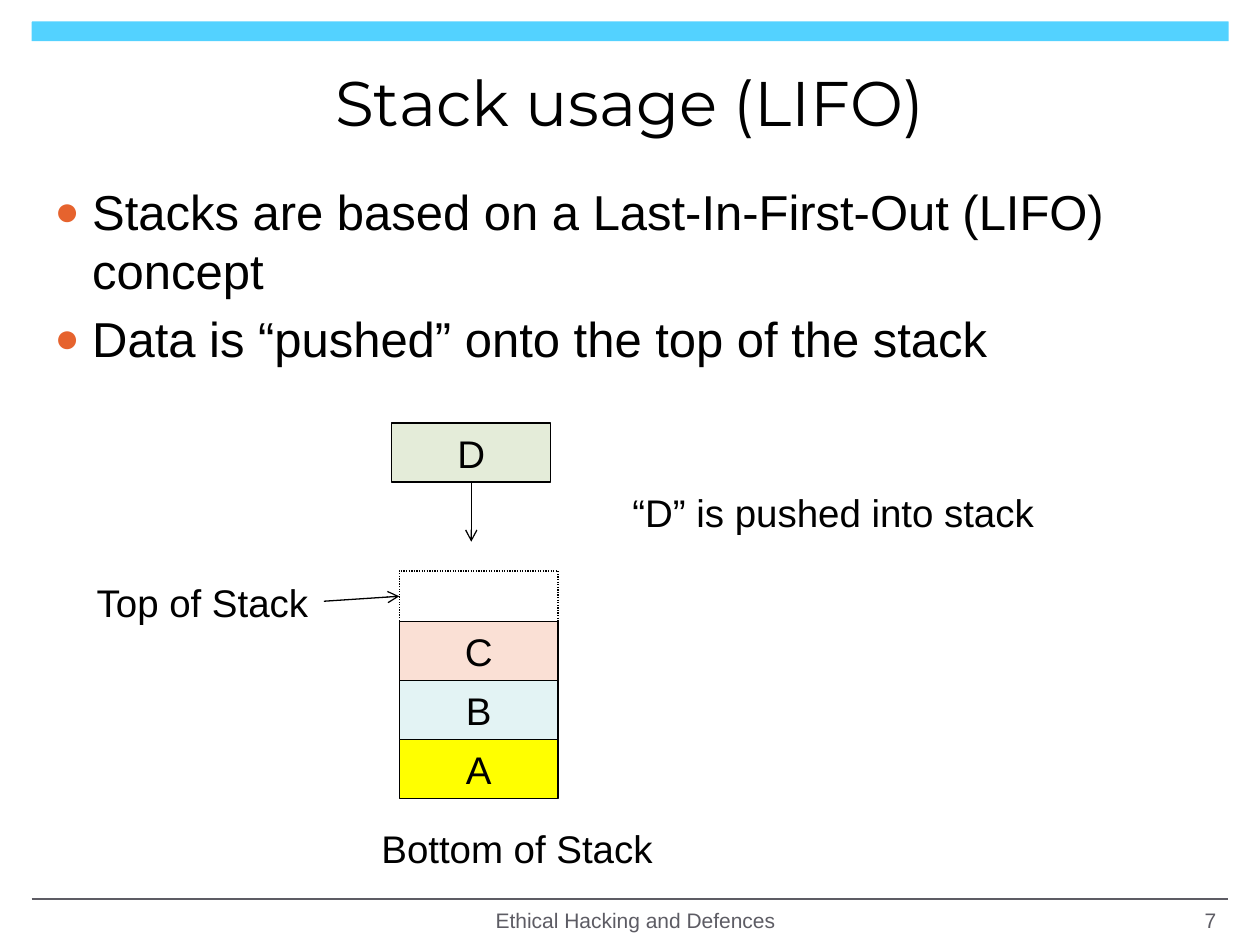
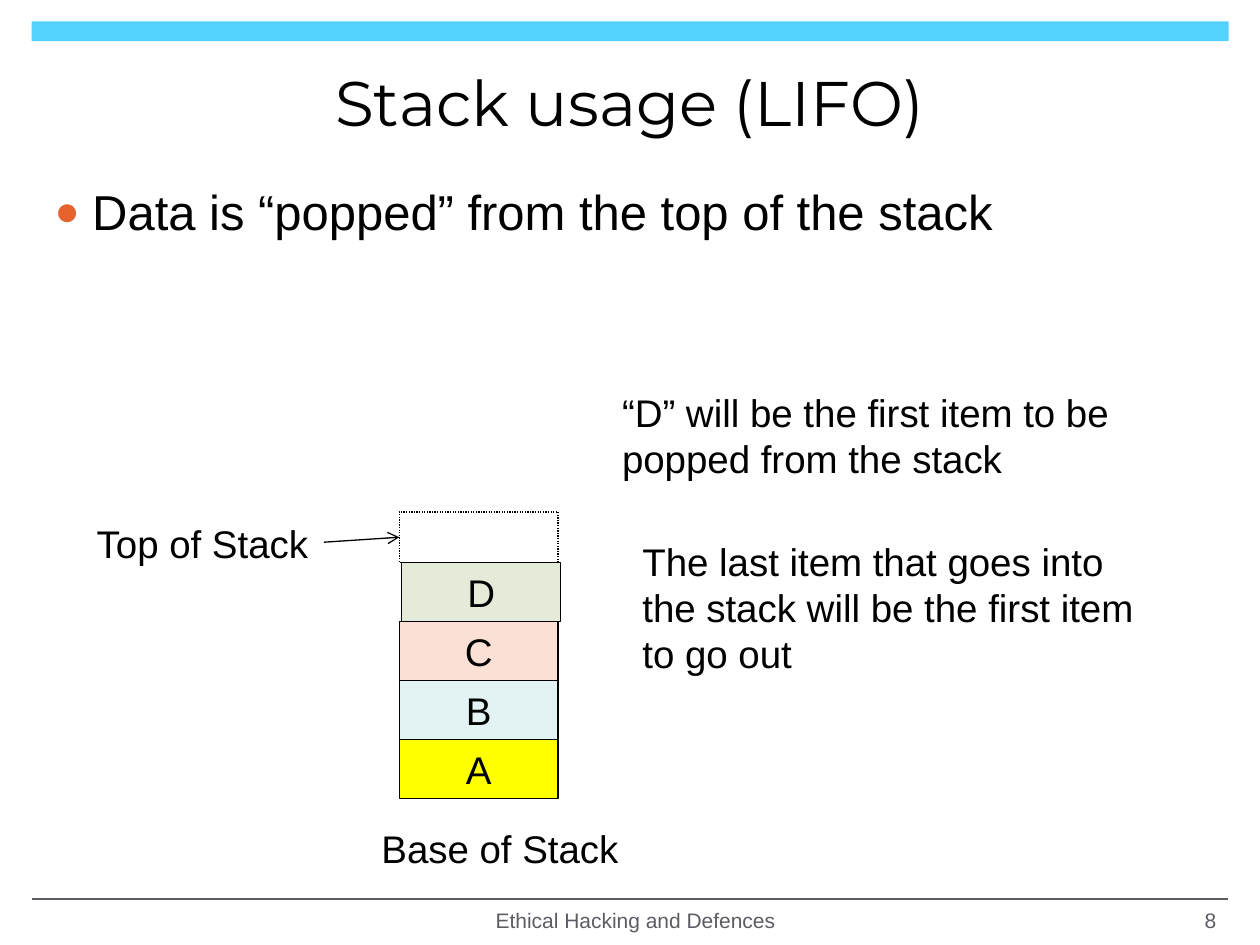
import dataclasses
import typing

import lxml.etree
import pptx
import pptx.dml.color
import pptx.enum.dml
import pptx.enum.shapes
import pptx.enum.text
import pptx.oxml.ns
import pptx.util

Cm = pptx.util.Cm
Pt = pptx.util.Pt
Align = pptx.enum.text.PP_ALIGN
Anchor = pptx.enum.text.MSO_ANCHOR
Kind = pptx.enum.shapes.MSO_SHAPE


@dataclasses.dataclass(frozen=True)
class Theme:
    band: str = "53D2FF"
    ink: str = "000000"
    muted: str = "5D5C64"
    bullet: str = "E6632E"
    heading: str = "Montserrat"
    sans: str = "Arial"
    title: float = 36
    body: float = 28
    label: float = 22
    foot: float = 12
    thin: float = 0.75
    rule: float = 1


THEME = Theme()
FILLS = {"A": "FFFF00", "B": "E3F3F4", "C": "FAE0D5", "D": "E4ECD9"}
LEFT, BASE, WIDTH, STEP, SLOT = 8.05, 16.1, 3.2, 1.19, 1.02


class Box(typing.NamedTuple):
    x: float
    y: float
    w: float
    h: float

    def sizes(self) -> tuple:
        return tuple(Cm(v) for v in self)


class Style(typing.NamedTuple):
    size: float = THEME.label
    color: str = THEME.ink
    font: str = THEME.sans
    align: Align = Align.LEFT
    anchor: Anchor = Anchor.TOP


class Cell(typing.NamedTuple):
    name: str
    x: float
    y: float


class Note(typing.NamedTuple):
    text: str
    box: Box
    wrap: bool = True


@dataclasses.dataclass(frozen=True)
class Page:
    number: int
    points: list[str]
    base: str
    cells: list[Cell]
    level: int
    notes: list[Note]
    push: bool = False


def rgb(code: str) -> pptx.dml.color.RGBColor:
    return pptx.dml.color.RGBColor.from_string(code)


def child(parent, tag: str, **attrs: str):
    name = pptx.oxml.ns.qn(tag)
    return lxml.etree.SubElement(parent, name, attrs)


def write(frame, texts: list[str], style: Style, bullets: bool = False) -> None:
    frame.vertical_anchor = style.anchor
    for index, text in enumerate(texts):
        para = frame.add_paragraph() if index else frame.paragraphs[0]
        para.alignment = style.align
        if bullets:
            if index:
                para.space_before = Pt(style.size * 0.2)
            props = para._p.get_or_add_pPr()
            indent = Cm(0.76)
            props.set("marL", str(indent))
            props.set("indent", str(-indent))
            color = child(props, "a:buClr")
            child(color, "a:srgbClr", val=THEME.bullet)
            child(props, "a:buSzPct", val="85000")
            child(props, "a:buFont", typeface=style.font)
            child(props, "a:buChar", char="●")
        run = para.add_run()
        run.text = text
        run.font.name = style.font
        run.font.size = Pt(style.size)
        run.font.color.rgb = rgb(style.color)


def label(slide, texts: list[str], box: Box, style: Style = Style(),
          wrap: bool = True, bullets: bool = False) -> None:
    frame = slide.shapes.add_textbox(*box.sizes()).text_frame
    frame.word_wrap = wrap
    write(frame, texts, style, bullets)


def block(slide, kind: Kind, box: Box, fill: str | None = None,
          line: str | None = None):
    shape = slide.shapes.add_shape(kind, *box.sizes())
    shape.shadow.inherit = False
    if fill:
        shape.fill.solid()
        shape.fill.fore_color.rgb = rgb(fill)
    else:
        shape.fill.background()
    if line:
        shape.line.color.rgb = rgb(line)
        shape.line.width = Pt(THEME.thin)
    else:
        shape.line.fill.background()
    return shape


def stroke(slide, start: tuple, end: tuple, color: str, width: float,
           arrow: bool = False) -> None:
    ends = [Cm(v) for v in (*start, *end)]
    straight = pptx.enum.shapes.MSO_CONNECTOR.STRAIGHT
    wire = slide.shapes.add_connector(straight, *ends)
    wire.line.color.rgb = rgb(color)
    wire.line.width = Pt(width)
    if arrow:
        child(wire.line._get_or_add_ln(), "a:tailEnd", type="arrow")
    child(wire._element.spPr, "a:effectLst")


def frame(slide, page: Page) -> None:
    band = block(slide, Kind.ROUND_2_SAME_RECTANGLE,
                 Box(0.64, 0.43, 24.13, 0.4), THEME.band)
    band.adjustments[0] = 0.05
    band.adjustments[1] = 0
    stroke(slide, (0.64, 18.13), (24.76, 18.13), THEME.muted, THEME.rule)
    label(slide, ["Stack usage (LIFO)"], Box(0.85, 0.76, 23.7, 2.57),
          Style(THEME.title, font=THEME.heading, align=Align.CENTER,
                anchor=Anchor.MIDDLE))
    label(slide, page.points, Box(0.85, 3.53, 23.7, 14.25),
          Style(THEME.body), bullets=True)
    foot = Style(THEME.foot, THEME.muted, align=Align.CENTER,
                 anchor=Anchor.MIDDLE)
    label(slide, ["Ethical Hacking and Defences"],
          Box(8.05, 18.1, 9.53, 0.9), foot)
    label(slide, [str(page.number)], Box(18.85, 18.1, 5.92, 0.9),
          foot._replace(align=Align.RIGHT))


def level(count: int) -> float:
    return BASE - count * STEP


def stack(slide, page: Page) -> None:
    style = Style(align=Align.CENTER, anchor=Anchor.MIDDLE)
    for cell in page.cells:
        shape = block(slide, Kind.RECTANGLE, Box(cell.x, cell.y, WIDTH, STEP),
                      FILLS[cell.name], THEME.ink)
        write(shape.text_frame, [cell.name], style)
    top = level(page.level) - SLOT
    slot = block(slide, Kind.RECTANGLE, Box(LEFT, top, WIDTH, SLOT),
                 line=THEME.ink)
    slot.line.dash_style = pptx.enum.dml.MSO_LINE.ROUND_DOT
    label(slide, ["Top of Stack"], Box(1.7, top + 0.03, 4.83, STEP),
          wrap=False)
    stroke(slide, (6.53, top + 0.61), (LEFT, top + 0.51), THEME.ink,
           THEME.thin, True)
    label(slide, [page.base], Box(7.44, 16.51, 6.05, STEP), wrap=False)
    if page.push:
        stroke(slide, (9.5, 9.73), (9.5, 10.92), THEME.ink, THEME.thin, True)


def main() -> None:
    deck = pptx.Presentation()
    deck.slide_width, deck.slide_height = Cm(25.4), Cm(19.05)
    held = [Cell(name, LEFT, level(i)) for i, name in enumerate("ABC", 1)]
    pages = [
        Page(7, ["Stacks are based on a Last-In-First-Out (LIFO) concept",
                 "Data is “pushed” onto the top of the stack"],
             "Bottom of Stack", held + [Cell("D", 7.9, 8.53)], 3,
             [Note("“D” is pushed into stack", Box(12.5, 9.73, 8.71, STEP),
                   False)], True),
        Page(8, ["Data is “popped” from the top of the stack"],
             "Base of Stack", held + [Cell("D", 8.1, level(4))], 4,
             [Note("“D” will be the first item to be popped from the stack",
                   Box(12.29, 7.72, 11, 2.13)),
              Note("The last item that goes into the stack will be the "
                   "first item to go out", Box(12.7, 10.72, 11, 3.07))]),
    ]
    for page in pages:
        slide = deck.slides.add_slide(deck.slide_layouts[6])
        frame(slide, page)
        stack(slide, page)
        for note in page.notes:
            label(slide, [note.text], note.box, wrap=note.wrap)
    deck.save("out.pptx")


if __name__ == "__main__":
    main()
